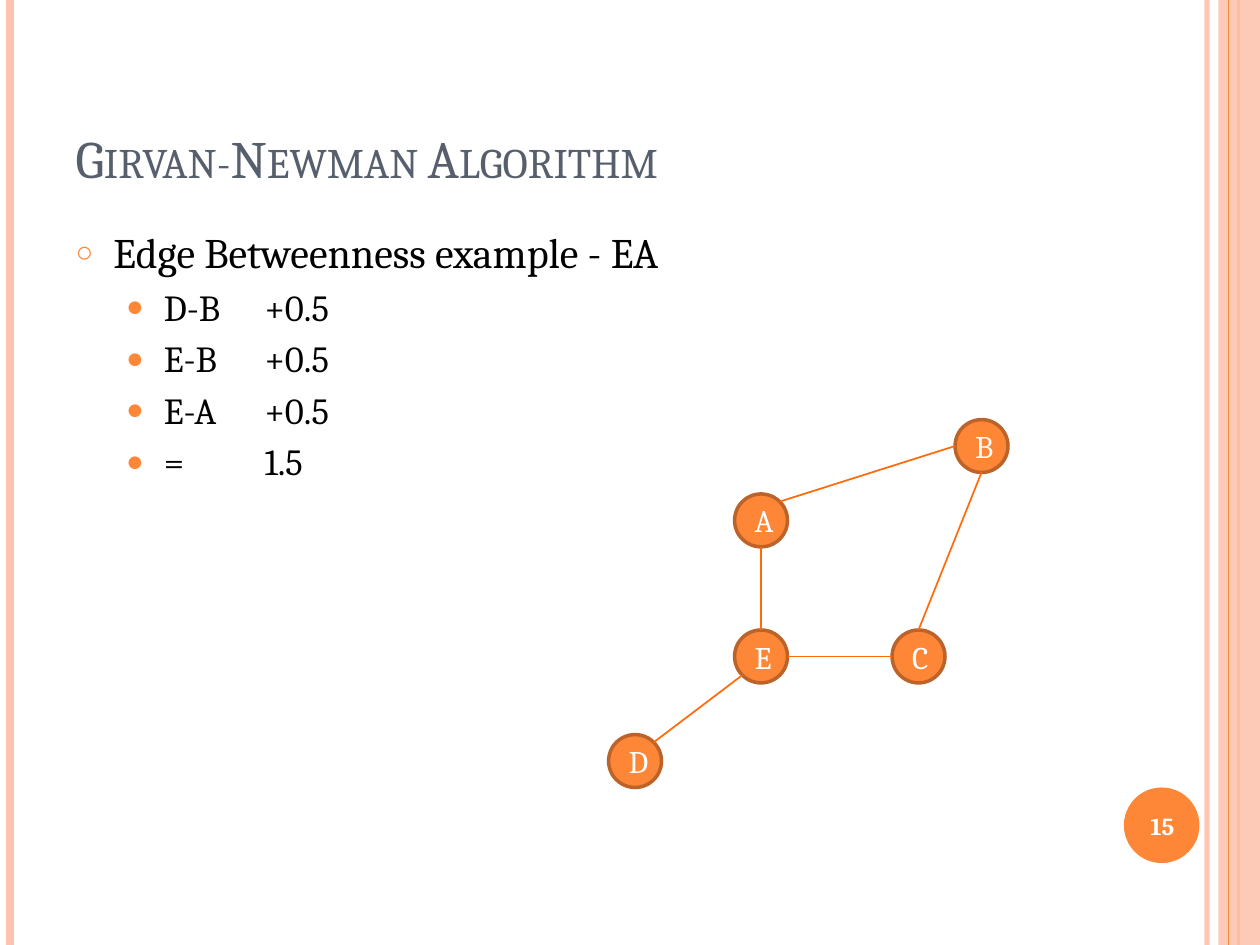
"""Build the Girvan-Newman edge betweenness slide."""
from lxml import etree
from pptx import Presentation
from pptx.dml.color import RGBColor
from pptx.enum.shapes import MSO_CONNECTOR, MSO_SHAPE
from pptx.enum.text import MSO_ANCHOR, PP_ALIGN
from pptx.oxml.ns import qn
from pptx.util import Inches, Pt

LINE = MSO_CONNECTOR.STRAIGHT
OVAL, RECT = MSO_SHAPE.OVAL, MSO_SHAPE.RECTANGLE
LEFT, MID = PP_ALIGN.LEFT, PP_ALIGN.CENTER
LOW, CORE, TOP = MSO_ANCHOR.BOTTOM, MSO_ANCHOR.MIDDLE, MSO_ANCHOR.TOP

WIDE, HIGH = 10, 7.5
FONT = "Cambria"
HUE = {"node": "FE8637", "rim": "BC6329", "edge": "FF6B0A", "pale": "FEC3AE",
       "title": "575F6D", "body": "000000", "white": "FFFFFF"}

TITLE = "Girvan-Newman Algorithm"
HEAD = "Edge Betweenness example - EA"
ROWS = ["D-B \t+0.5", "E-B \t+0.5", "E-A\t+0.5", "=\t\t1.5"]
PAGE = "15"
BARS = [(9.58, "pale", 3, 93), (0.08, "pale", 4.5, 100), (9.83, "node", 1.5, 100)]
BAND = (9.67, 0, 0.33, HIGH)
THIN = (9.75, "node", 0.75, 100)
SIZE = 0.42
NODES = {"A": (6.04, 4.13), "D": (5.04, 6.04), "C": (7.29, 5.21),
         "B": (7.79, 3.54), "E": (6.04, 5.21)}
SIDES = {"n": (0, -1), "s": (0, 1), "w": (-1, 0), "e": (1, 0),
         "ne": (0.71, -0.71), "sw": (-0.71, 0.71)}
EDGES = [("D", "ne", "E", "sw"), ("E", "n", "A", "s"), ("E", "e", "C", "w"),
         ("C", "n", "B", "s"), ("A", "ne", "B", "w")]


def rgb(name):
    return RGBColor.from_string(HUE[name])


def place(shape, box):
    shape.left, shape.top, shape.width, shape.height = map(Inches, box)


def fade(shape, share):
    if share < 100:
        tint = next(shape._element.spPr.iter(qn("a:srgbClr")))
        etree.SubElement(tint, qn("a:alpha")).set("val", str(share * 1000))


def write(para, text, size, hue, bold=False, align=LEFT, caps=False):
    para.alignment = align
    run = para.add_run()
    run.text = text
    font = run.font
    font.name, font.size, font.bold = FONT, Pt(size), bold
    font.color.rgb = rgb(hue)
    if caps:
        run._r.get_or_add_rPr().set("cap", "small")


def bullet(para, mark, share, left, gap):
    para.space_before = Pt(gap)
    props = para._p.get_or_add_pPr()
    props.set("marL", str(Inches(left)))
    props.set("indent", str(Inches(-0.3)))
    tint = etree.SubElement(props, qn("a:buClr"))
    etree.SubElement(tint, qn("a:srgbClr")).set("val", HUE["node"])
    etree.SubElement(props, qn("a:buSzPct")).set("val", str(share * 1000))
    etree.SubElement(props, qn("a:buChar")).set("char", mark)


def link(shapes, start, end, hue, width, share=100):
    line = shapes.add_connector(LINE, *map(Inches, start + end))
    line.line.color.rgb = rgb(hue)
    line.line.width = Pt(width)
    etree.SubElement(line._element.spPr, qn("a:effectLst"))
    fade(line, share)


def solid(shapes, kind, box, hue, rim=None, share=100):
    shape = shapes.add_shape(kind, *map(Inches, box))
    shape.shadow.inherit = False
    shape.fill.solid()
    shape.fill.fore_color.rgb = rgb(hue)
    fade(shape, share)
    if rim:
        shape.line.color.rgb = rgb(rim)
        shape.line.width = Pt(2)
    else:
        shape.line.fill.background()
    return shape


def rule(shapes, x, hue, width, share):
    link(shapes, (x, 0), (x, HIGH), hue, width, share)


def port(node, side):
    return tuple(c + d * SIZE / 2 for c, d in zip(NODES[node], SIDES[side]))


def main():
    deck = Presentation()
    deck.slide_width, deck.slide_height = Inches(WIDE), Inches(HIGH)
    slide = deck.slides.add_slide(deck.slide_layouts[1])
    shapes = slide.shapes

    for bar in BARS:
        rule(shapes, *bar)
    solid(shapes, RECT, BAND, "pale", share=87)
    rule(shapes, *THIN)
    solid(shapes, OVAL, (8.92, 6.25, 0.6, 0.6), "node")

    title, body = shapes.title, slide.placeholders[1]
    place(title, (0.5, 0.3, 8.17, 1.25))
    title.text_frame.vertical_anchor = LOW
    write(title.text_frame.paragraphs[0], TITLE, 30, "title", caps=True)

    place(body, (0.5, 1.75, 8.17, 5.33))
    frame = body.text_frame
    frame.vertical_anchor = TOP
    head = frame.paragraphs[0]
    bullet(head, "○", 70, 0.3, 6)
    write(head, HEAD, 24, "body")
    for row in ROWS:
        para = frame.add_paragraph()
        para.level = 1
        bullet(para, "●", 80, 0.7, 4.2)
        write(para, row, 21, "body")

    page = shapes.add_textbox(*map(Inches, (8.89, 6.27, 0.67, 0.57))).text_frame
    page.word_wrap = True
    page.vertical_anchor = CORE
    write(page.paragraphs[0], PAGE, 14, "white", bold=True, align=MID)

    for name, (x, y) in NODES.items():
        box = (x - SIZE / 2, y - SIZE / 2, SIZE, SIZE)
        text = solid(shapes, OVAL, box, "node", "rim").text_frame
        text.vertical_anchor = CORE
        write(text.paragraphs[0], name, 18, "white", align=MID)
    for start, out, end, into in EDGES:
        link(shapes, port(start, out), port(end, into), "edge", 1)

    deck.save("out.pptx")


if __name__ == "__main__":
    main()
